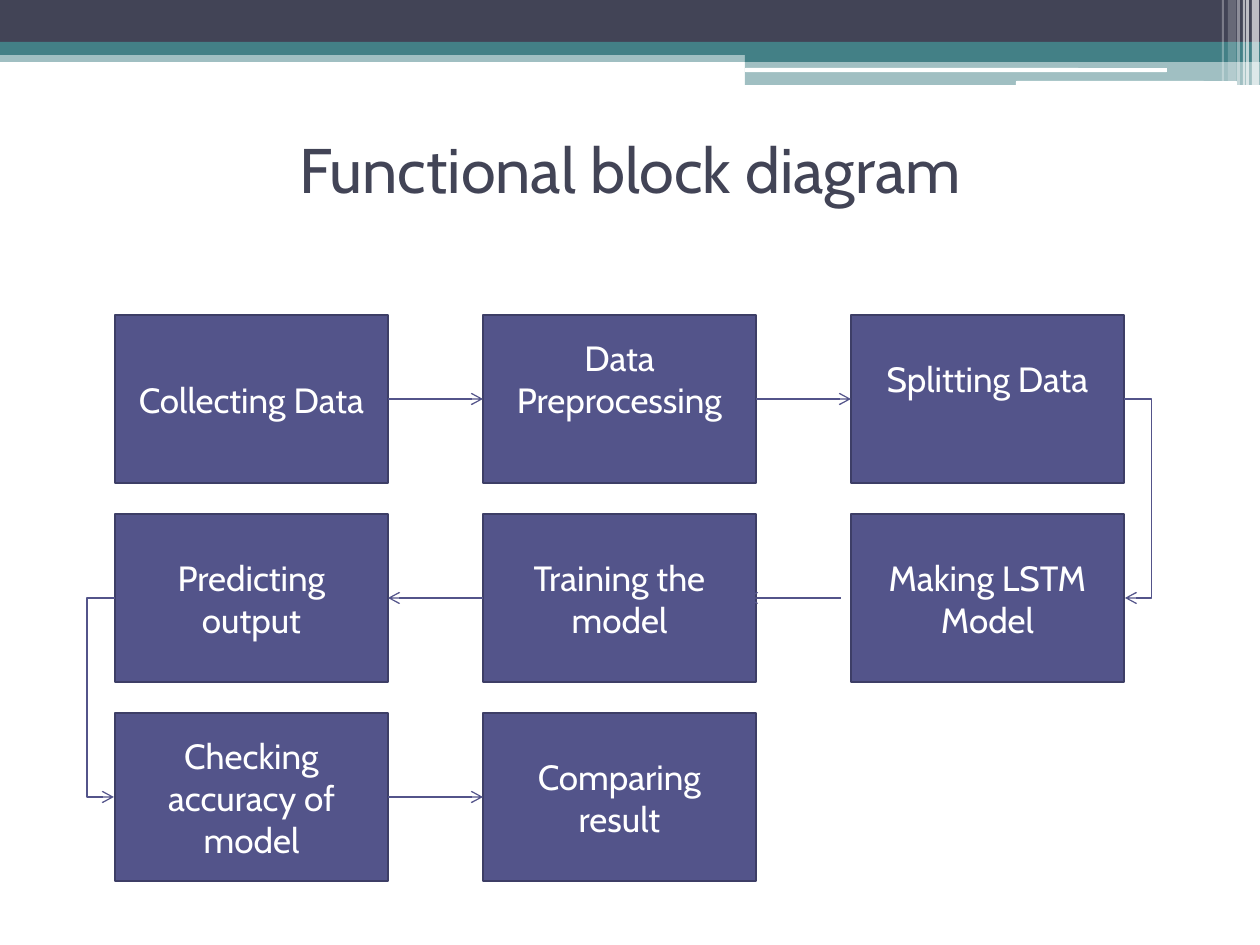
import pptx
import pptx.util
import pptx.dml.color
import pptx.enum.shapes
import pptx.enum.text
import pptx.oxml
import pptx.oxml.ns

RGBColor = pptx.dml.color.RGBColor
SHAPE = pptx.enum.shapes.MSO_SHAPE
LINK = pptx.enum.shapes.MSO_CONNECTOR
PX = 914400 // 126
FONT = "Cabin"
DARK = RGBColor(0x42, 0x44, 0x56)
TEAL = RGBColor(0x43, 0x80, 0x86)
WHITE = RGBColor(0xFF, 0xFF, 0xFF)
INDIGO = RGBColor(0x53, 0x54, 0x8A)
EDGE = RGBColor(0x3D, 0x3E, 0x66)

BANDS = [
    (0, 51, 1260, 11, TEAL, 50),
    (0, 0, 1260, 43, DARK, 100),
    (0, 42, 1260, 13, TEAL, 100),
    (745, 49, 515, 13, TEAL, 100),
    (745, 61, 515, 24, TEAL, 50),
]
RULES = [(745, 68, 422, 4), (1016, 81, 221, 5)]
STRIPES = [
    (1252, 7, 86, 65),
    (1246, 3, 86, 65),
    (1243, 2, 86, 60),
    (1237, 3, 86, 40),
    (1228, 8, 81, 20),
    (1222, 2, 81, 30),
]
STEPS = [
    (0, 0, "Collecting Data", 0),
    (1, 0, "Data Preprocessing", 42),
    (2, 0, "Splitting Data", 42),
    (2, 1, "Making LSTM Model", 0),
    (1, 1, "Training the model", 0),
    (0, 1, "Predicting output", 0),
    (0, 2, "Checking accuracy of model", 0),
    (1, 2, "Comparing result", 0),
]


def px(*lengths):
    """Turn pixel lengths into EMU."""
    return [pptx.util.Emu(n * PX) for n in lengths]


def add_box(s, box, color, kind=SHAPE.RECTANGLE, opacity=100, line=None):
    """Add a filled shape and return it."""
    sp = s.shapes.add_shape(kind, *px(*box))
    sp.shadow.inherit = False
    sp.fill.solid()
    sp.fill.fore_color.rgb = color
    if opacity < 100:
        clr = sp.fill._xPr.find(".//" + pptx.oxml.ns.qn("a:srgbClr"))
        alpha = clr.makeelement(pptx.oxml.ns.qn("a:alpha"), {"val": str(opacity * 1000)})
        clr.append(alpha)
    if line is None:
        sp.line.fill.background()
    else:
        sp.line.color.rgb = line
        sp.line.width = pptx.util.Pt(1.5)
    return sp


def set_text(sp, text, size, color, lift=0):
    """Write centred text, kept clear of the bottom edge by lift pixels."""
    tf = sp.text_frame
    tf.word_wrap = True
    tf.vertical_anchor = pptx.enum.text.MSO_ANCHOR.MIDDLE
    tf.margin_bottom = px(6 + lift)[0]
    p = tf.paragraphs[0]
    p.alignment = pptx.enum.text.PP_ALIGN.CENTER
    r = p.add_run()
    r.text = text
    r.font.name = FONT
    r.font.size = pptx.util.Pt(size)
    r.font.color.rgb = color


def add_arrow(s, start, end, bend=None):
    """Add an arrow, bent outwards by bend pixels if given."""
    kind = LINK.STRAIGHT if bend is None else LINK.ELBOW
    sp = s.shapes.add_connector(kind, *px(*start, *end))
    sp.line.color.rgb = INDIGO
    sp.line.width = pptx.util.Pt(0.75)
    ln = sp.line._get_or_add_ln()
    ln.append(ln.makeelement(pptx.oxml.ns.qn("a:tailEnd"), {"type": "arrow"}))
    pr = sp._element.spPr
    pr.append(pr.makeelement(pptx.oxml.ns.qn("a:effectLst"), {}))
    if bend is not None:
        av = pr.find(".//" + pptx.oxml.ns.qn("a:avLst"))
        gd = {"name": "adj1", "fmla": f"val {bend * 100000}"}
        av.append(av.makeelement(pptx.oxml.ns.qn("a:gd"), gd))


def draw_header(s, left, top):
    """Draw the bands, white rules and stripes along the top edge."""
    for x, y, w, h, color, opacity in BANDS:
        add_box(s, (left + x, top + y, w, h), color, opacity=opacity)
    for x, y, w, h in RULES:
        add_box(s, (left + x, top + y, w, h), WHITE, SHAPE.ROUNDED_RECTANGLE)
    for x, w, h, opacity in STRIPES:
        add_box(s, (left + x, top, w, h), WHITE, opacity=opacity)


def draw_title(s, left, top, width, height):
    """Place the slide title."""
    sp = s.shapes.add_textbox(*px(left, top, width, height))
    set_text(sp, "Functional block diagram", 36, DARK)


def draw_flow(s, left, top, width, height):
    """Place the steps on a three by three grid and link them in order."""
    w, h = 273, 168
    dx, dy = (width - w) // 2, (height - h) // 2
    for col, row, text, lift in STEPS:
        box = (left + col * dx, top + row * dy, w, h)
        sp = add_box(s, box, INDIGO, line=EDGE)
        set_text(sp, text, 20, WHITE, lift)
    for (c1, r1, *_), (c2, r2, *_) in zip(STEPS, STEPS[1:]):
        x1, x2 = left + c1 * dx, left + c2 * dx
        y1, y2 = (top + r * dy + h // 2 for r in (r1, r2))
        if c1 < c2:
            add_arrow(s, (x1 + w, y1), (x2, y2))
        elif c1 == 2 and r1 == 1:
            add_arrow(s, (x1 - 10, y1), (x2 + w - 10, y2))
        elif c1 > c2:
            add_arrow(s, (x1, y1), (x2 + w, y2))
        elif c1 == 2:
            add_arrow(s, (x1 + w, y1), (x2 + w + 1, y2), bend=28)
        else:
            add_arrow(s, (x1, y1), (x2 - 1, y2), bend=28)


def main():
    """Build the slide and save it."""
    prs = pptx.Presentation()
    prs.slide_width, prs.slide_height = px(1260, 945)
    s = prs.slides.add_slide(prs.slide_layouts[6])
    draw_header(s, 0, 0)
    draw_title(s, 63, 94, 1134, 148)
    draw_flow(s, 115, 315, 1009, 567)
    prs.save("out.pptx")


if __name__ == "__main__":
    main()
